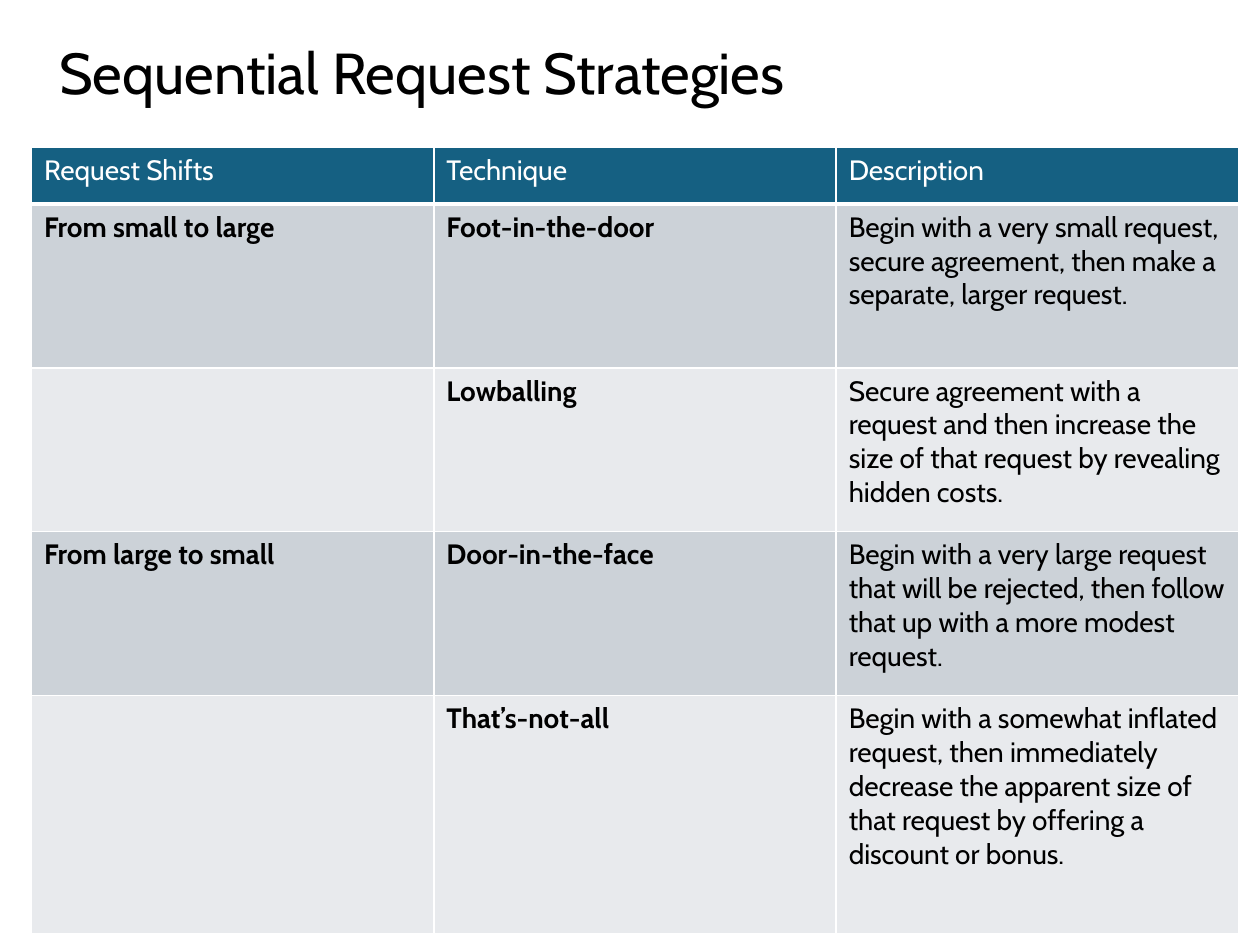
from lxml.etree import SubElement
from pptx import Presentation
from pptx.dml.color import RGBColor
from pptx.enum.text import MSO_ANCHOR
from pptx.oxml.ns import qn
from pptx.util import Inches, Pt

COLORS = {
    "header": "156082",
    "odd": "CCD2D8",
    "even": "E8EAED",
    "white": "FFFFFF",
    "black": "000000",
}
ROWS = [
    ("Request Shifts", "Technique", "Description"),
    ("From small to large", "Foot-in-the-door",
     "Begin with a very small request, secure agreement, then make a "
     "separate, larger request."),
    ("", "Lowballing",
     "Secure agreement with a request and then increase the size of that "
     "request by revealing hidden costs."),
    ("From large to small", "Door-in-the-face",
     "Begin with a very large request that will be rejected, then follow "
     "that up with a more modest request."),
    ("", "That’s-not-all",
     "Begin with a somewhat inflated request, then immediately decrease the "
     "apparent size of that request by offering a discount or bonus."),
]
ROW_HEIGHTS = [0.45, 1.3, 1.3, 1.3, 1.89]


class SlideBuilder:
    font = "Cabin"

    def __init__(self, slide):
        self.slide = slide

    def color(self, name):
        return RGBColor.from_string(COLORS[name])

    def set_text(self, tf, text, size, color, bold=False):
        p = tf.paragraphs[0]
        p.text = text
        for font in [p.font] + [r.font for r in p.runs]:
            font.name = self.font
            font.size = Pt(size)
            font.bold = bold
            font.color.rgb = self.color(color)
        return p

    def title(self, text, left, top, width, height):
        box = self.slide.shapes.add_textbox(
            Inches(left), Inches(top), Inches(width), Inches(height))
        tf = box.text_frame
        tf.word_wrap = True
        tf.vertical_anchor = MSO_ANCHOR.MIDDLE
        self.set_text(tf, text, 33, "black").line_spacing = 0.9

    def borders(self, cell, bottom):
        tc_pr = cell._tc.get_or_add_tcPr()
        for side, width in (("L", 1), ("R", 1), ("T", 1), ("B", bottom)):
            ln = SubElement(tc_pr, qn(f"a:ln{side}"), w=str(Pt(width)))
            fill = SubElement(ln, qn("a:solidFill"))
            SubElement(fill, qn("a:srgbClr"), val=COLORS["white"])

    def table(self, rows, heights, left, top, width):
        n_cols = len(rows[0])
        table = self.slide.shapes.add_table(
            len(rows), n_cols, Inches(left), Inches(top),
            Inches(width), Inches(sum(heights))).table
        for col in table.columns:
            col.width = Inches(width / n_cols)
        for i, (texts, height) in enumerate(zip(rows, heights)):
            table.rows[i].height = Inches(height)
            header = i == 0
            fill = "header" if header else "odd" if i % 2 else "even"
            for j, text in enumerate(texts):
                cell = table.cell(i, j)
                self.borders(cell, bottom=3 if header else 1)
                cell.fill.solid()
                cell.fill.fore_color.rgb = self.color(fill)
                self.set_text(cell.text_frame, text, 16,
                              "white" if header else "black",
                              bold=not header and j < n_cols - 1)


def main():
    prs = Presentation()
    prs.slide_width, prs.slide_height = Inches(10), Inches(7.5)
    s = SlideBuilder(prs.slides.add_slide(prs.slide_layouts[6]))

    # Heading
    s.title("Sequential Request Strategies", 0.37, -0.12, 8.62, 1.45)

    # Strategy table
    s.table(ROWS, ROW_HEIGHTS, 0.25, 1.17, 9.58)

    prs.save("out.pptx")


if __name__ == "__main__":
    main()
